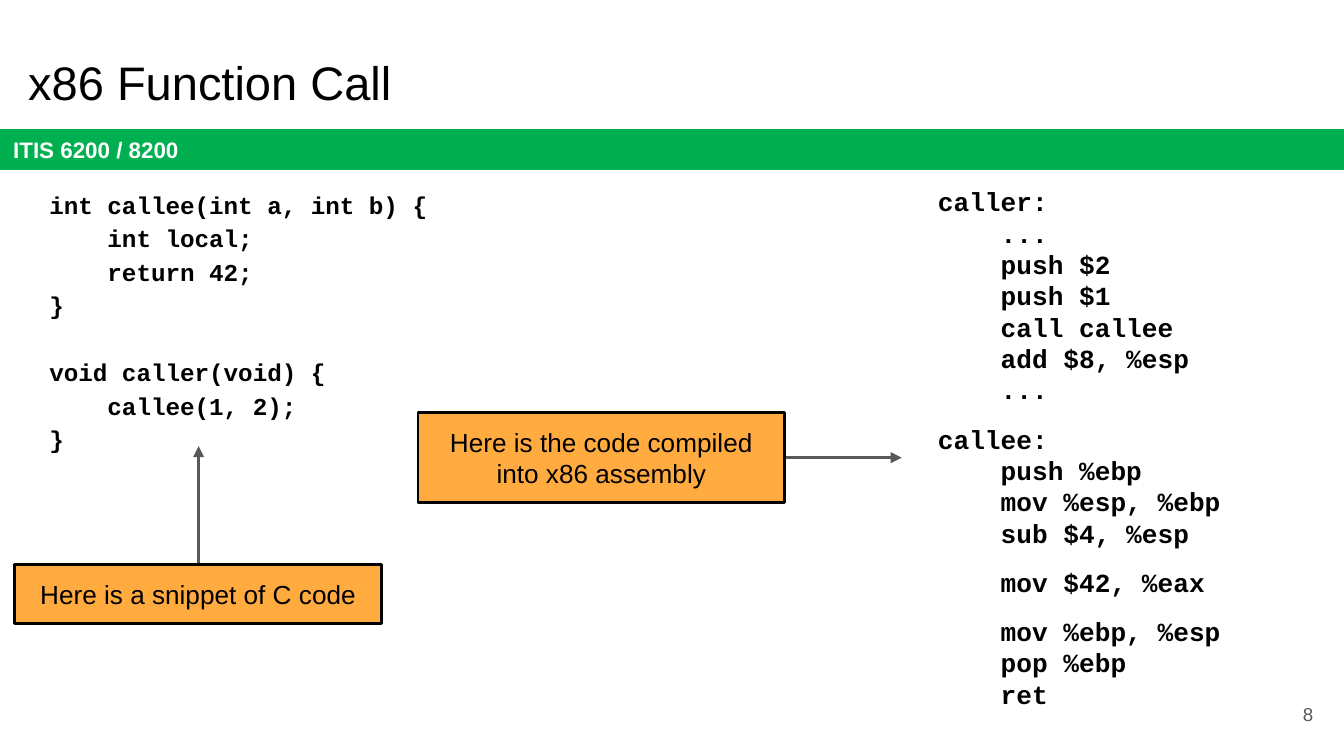
"""Build the x86 function call slide."""
from dataclasses import dataclass

import pptx
import pptx.dml.color
import pptx.enum.shapes
import pptx.enum.text
import pptx.oxml.ns
import pptx.util
from lxml import etree

Pt = pptx.util.Pt
Align = pptx.enum.text.PP_ALIGN
Anchor = pptx.enum.text.MSO_ANCHOR
INK = "000000"
GREY = "595959"
WIDE = 196.6

C_CODE = """int callee(int a, int b) {
    int local;
    return 42;
}

void caller(void) {
    callee(1, 2);
}"""

ASM_CODE = """caller:
    ...
    push $2
    push $1
    call callee
    add $8, %esp
    ...

callee:
    push %ebp
    mov %esp, %ebp
    sub $4, %esp

    mov $42, %eax

    mov %ebp, %esp
    pop %ebp
    ret"""


@dataclass
class Box:
    left: float
    top: float
    width: float
    height: float

    def spans(self) -> list:
        return [Pt(n) for n in (self.left, self.top, self.width, self.height)]


@dataclass
class Note:
    text: str
    box: Box
    start: tuple
    end: tuple


def tint(code: str) -> pptx.dml.color.RGBColor:
    return pptx.dml.color.RGBColor.from_string(code)


def write(shape, text: str, *, size: float, font: str = "Arial", color: str = INK,
          bold: bool = False, align=Align.LEFT, anchor=Anchor.TOP,
          pitch: float = 1.0, gap: float = 0) -> None:
    frame = shape.text_frame
    frame.word_wrap = True
    frame.auto_size = pptx.enum.text.MSO_AUTO_SIZE.NONE
    frame.vertical_anchor = anchor
    frame.margin_left = frame.margin_right = Pt(7.2)
    frame.margin_top = frame.margin_bottom = Pt(7.2)
    para = frame.paragraphs[0]
    for index, block in enumerate(text.split("\n\n")):
        for row, line in enumerate(block.split("\n")):
            if index or row:
                para = frame.add_paragraph()
            para.alignment = align
            para.line_spacing = pitch
            para.space_before = Pt(gap if index and not row else 0)
            run = para.add_run()
            run.text = line
            run.font.name = font
            run.font.size = Pt(size)
            run.font.bold = bold
            run.font.color.rgb = tint(color)


def add_text(slide, box: Box, text: str, **style) -> None:
    write(slide.shapes.add_textbox(*box.spans()), text, **style)


def add_block(slide, box: Box, fill: str, text: str, edge: str = "", **style) -> None:
    kind = pptx.enum.shapes.MSO_SHAPE.RECTANGLE
    shape = slide.shapes.add_shape(kind, *box.spans())
    shape.shadow.inherit = False
    shape.fill.solid()
    shape.fill.fore_color.rgb = tint(fill)
    if edge:
        shape.line.color.rgb = tint(edge)
        shape.line.width = Pt(1.5)
    else:
        shape.line.fill.background()
    write(shape, text, **style)


def add_arrow(slide, start: tuple, end: tuple) -> None:
    kind = pptx.enum.shapes.MSO_CONNECTOR.STRAIGHT
    arrow = slide.shapes.add_connector(kind, *[Pt(n) for n in start + end])
    arrow.line.color.rgb = tint(GREY)
    arrow.line.width = Pt(1.5)
    qn = pptx.oxml.ns.qn
    etree.SubElement(arrow.line._get_or_add_ln(), qn("a:tailEnd"), type="triangle")
    etree.SubElement(arrow._element.spPr, qn("a:effectLst"))


def add_note(slide, note: Note) -> None:
    add_arrow(slide, note.start, note.end)
    add_block(slide, note.box, "FFAB40", note.text, edge=INK, size=14,
              align=Align.CENTER)


def main() -> None:
    deck = pptx.Presentation()
    deck.slide_width, deck.slide_height = Pt(720), Pt(405)
    slide = deck.slides.add_slide(deck.slide_layouts[5])

    title = slide.shapes.title
    title.left, title.top, title.width, title.height = Box(7.9, 21.6, 671, 45.4).spans()
    write(title, "x86 Function Call", size=25.2)

    add_block(slide, Box(0, 69.2, 720, 21.8), "00B050", "ITIS 6200 / 8200",
              size=12, color="FFFFFF", bold=True, anchor=Anchor.MIDDLE)
    add_text(slide, Box(667.4, 367.2, 43.2, 31), "8", size=10, color=GREY,
             align=Align.RIGHT, anchor=Anchor.MIDDLE)
    add_text(slide, Box(495.4, 92.2, 203.8, 306), ASM_CODE, size=14,
             font="Courier New", bold=True, gap=9.5)
    add_text(slide, Box(19.4, 92.2, 325.4, 167), C_CODE, size=13,
             font="Courier New", bold=True, pitch=1.15, gap=18)

    notes = [
        Note("Here is a snippet of C code", Box(7.9, 302.4, WIDE, 31.5),
             (106.4, 302.4), (106.4, 239)),
        Note("Here is the code compiled into x86 assembly",
             Box(223.9, 221, WIDE, 48.2), (420.5, 245.2), (483.1, 245.2)),
    ]
    for note in notes:
        add_note(slide, note)
    deck.save("out.pptx")


if __name__ == "__main__":
    main()
